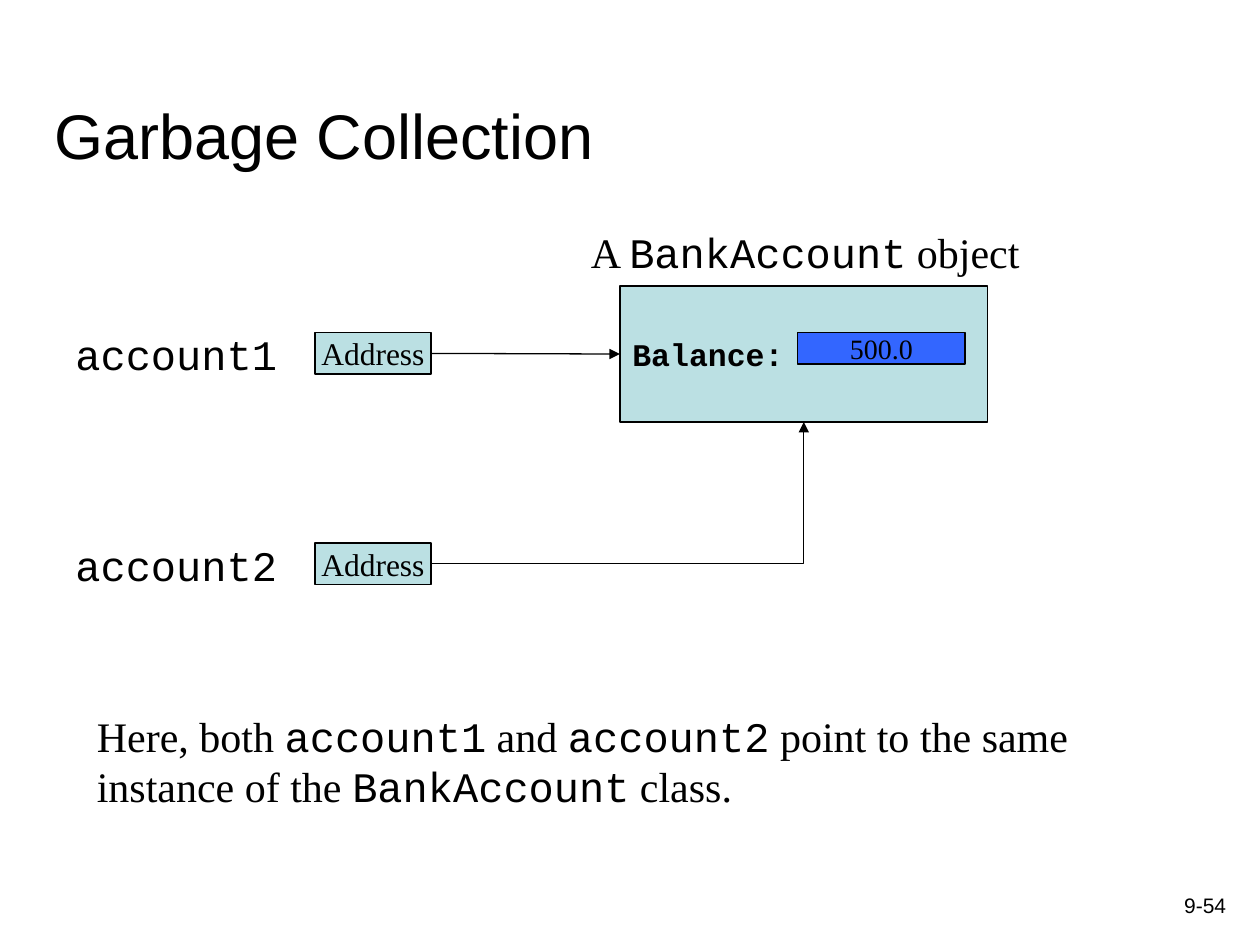
from dataclasses import dataclass
from typing import Any

from lxml.etree import SubElement
from pptx import Presentation
from pptx.dml.color import RGBColor
from pptx.enum.shapes import MSO_CONNECTOR, MSO_SHAPE
from pptx.enum.text import MSO_ANCHOR, MSO_AUTO_SIZE, PP_ALIGN
from pptx.oxml.ns import qn
from pptx.util import Inches, Pt


@dataclass(frozen=True)
class Theme:
    black: RGBColor = RGBColor(0x00, 0x00, 0x00)
    pale: RGBColor = RGBColor(0xBB, 0xE0, 0xE3)
    blue: RGBColor = RGBColor(0x33, 0x66, 0xFF)
    sans: str = "Arial"
    serif: str = "Times New Roman"
    code: str = "Courier New"
    title_size: int = 36
    body_size: int = 24
    box_size: int = 18
    value_size: int = 16
    number_size: int = 12
    line_width: float = 0.75


THEME = Theme()


@dataclass(frozen=True)
class Span:
    text: str
    font: str = THEME.serif
    bold: bool = False


@dataclass(frozen=True)
class Block:
    left: float
    top: float
    width: float
    height: float
    lines: tuple[tuple[Span, ...], ...]
    size: int = THEME.body_size
    align: PP_ALIGN = PP_ALIGN.LEFT
    anchor: MSO_ANCHOR = MSO_ANCHOR.TOP
    wrap: bool = False
    fill: RGBColor | None = None
    auto_size: MSO_AUTO_SIZE = MSO_AUTO_SIZE.NONE


@dataclass(frozen=True)
class Variable:
    name: str
    top: float


def set_all(target: Any, values: dict[str, Any]) -> None:
    for name, value in values.items():
        setattr(target, name, value)


def write_text(shape: Any, block: Block) -> None:
    frame = shape.text_frame
    set_all(frame, {
        "word_wrap": block.wrap,
        "auto_size": block.auto_size,
        "vertical_anchor": block.anchor,
    })
    for index, line in enumerate(block.lines):
        paragraph = frame.add_paragraph() if index else frame.paragraphs[0]
        paragraph.alignment = block.align
        for span in line:
            run = paragraph.add_run()
            run.text = span.text
            set_all(run.font, {"name": span.font, "size": Pt(block.size), "bold": span.bold})
            run.font.color.rgb = THEME.black


def add_block(slide: Any, block: Block) -> Any:
    bounds = [Inches(value) for value in (block.left, block.top, block.width, block.height)]
    if block.fill is None:
        shape = slide.shapes.add_textbox(*bounds)
    else:
        shape = slide.shapes.add_shape(MSO_SHAPE.RECTANGLE, *bounds)
        shape.shadow.inherit = False
        shape.fill.solid()
        shape.fill.fore_color.rgb = block.fill
        shape.line.color.rgb = THEME.black
        shape.line.width = Pt(THEME.line_width)
    write_text(shape, block)
    return shape


def add_arrow(slide: Any, kind: MSO_CONNECTOR, source: Any, target: Any, side: int) -> Any:
    connector = slide.shapes.add_connector(kind, 0, 0, 0, 0)
    connector.begin_connect(source, 3)
    connector.end_connect(target, side)
    connector.line.color.rgb = THEME.black
    connector.line.width = Pt(THEME.line_width)
    SubElement(connector.line._get_or_add_ln(), qn("a:tailEnd"), type="triangle")
    SubElement(connector._element.spPr, qn("a:effectLst"))
    return connector


def add_variable(slide: Any, variable: Variable) -> Any:
    add_block(slide, Block(0.5, variable.top - 0.08, 1.83, 0.5,
                           ((Span(variable.name, THEME.code),),), wrap=True))
    return add_block(slide, Block(2.5, variable.top, 0.92, 0.33, ((Span("Address"),),),
                                  THEME.box_size, PP_ALIGN.CENTER, MSO_ANCHOR.MIDDLE,
                                  fill=THEME.pale))


def main() -> None:
    presentation = Presentation()
    set_all(presentation, {"slide_width": Inches(10), "slide_height": Inches(7.5)})
    slide = presentation.slides.add_slide(presentation.slide_layouts[5])

    title = slide.shapes.title
    title_block = Block(0.33, 0.33, 9.42, 1.09, ((Span("Garbage Collection", THEME.sans),),),
                        THEME.title_size, anchor=MSO_ANCHOR.BOTTOM, wrap=True)
    set_all(title, {name: Inches(getattr(title_block, name))
                    for name in ("left", "top", "width", "height")})
    write_text(title, title_block)

    add_block(slide, Block(7.75, 6.83, 2.08, 0.5, ((Span("9-54", THEME.sans),),),
                           THEME.number_size, PP_ALIGN.RIGHT, MSO_ANCHOR.BOTTOM, True))
    class_name = Span("BankAccount", THEME.code)
    add_block(slide, Block(4.59, 1.75, 3.62, 0.5, ((Span("A "), class_name, Span(" object")),),
                           auto_size=MSO_AUTO_SIZE.SHAPE_TO_FIT_TEXT))
    account = add_block(slide, Block(4.92, 2.27, 2.92, 1.08,
                                     ((Span("Balance:", THEME.code, True),),), THEME.box_size,
                                     anchor=MSO_ANCHOR.MIDDLE, wrap=True, fill=THEME.pale))
    add_block(slide, Block(6.33, 2.64, 1.33, 0.25, ((Span("500.0"),),), THEME.value_size,
                           PP_ALIGN.CENTER, MSO_ANCHOR.MIDDLE, fill=THEME.blue))

    variables = (Variable("account1", 2.64), Variable("account2", 4.31))
    first, second = [add_variable(slide, variable) for variable in variables]
    add_arrow(slide, MSO_CONNECTOR.STRAIGHT, first, account, 1)
    bent = add_arrow(slide, MSO_CONNECTOR.ELBOW, second, account, 2)
    bent._element.spPr.find(qn("a:prstGeom")).set("prst", "bentConnector2")

    first_name, second_name = [Span(variable.name, THEME.code) for variable in variables]
    add_block(slide, Block(0.67, 5.59, 7.91, 0.9, (
        (Span("Here, both "), first_name, Span(" and "), second_name,
         Span(" point to the same")),
        (Span("instance of the "), class_name, Span(" class.")),
    ), auto_size=MSO_AUTO_SIZE.SHAPE_TO_FIT_TEXT))

    presentation.save("out.pptx")


if __name__ == "__main__":
    main()
